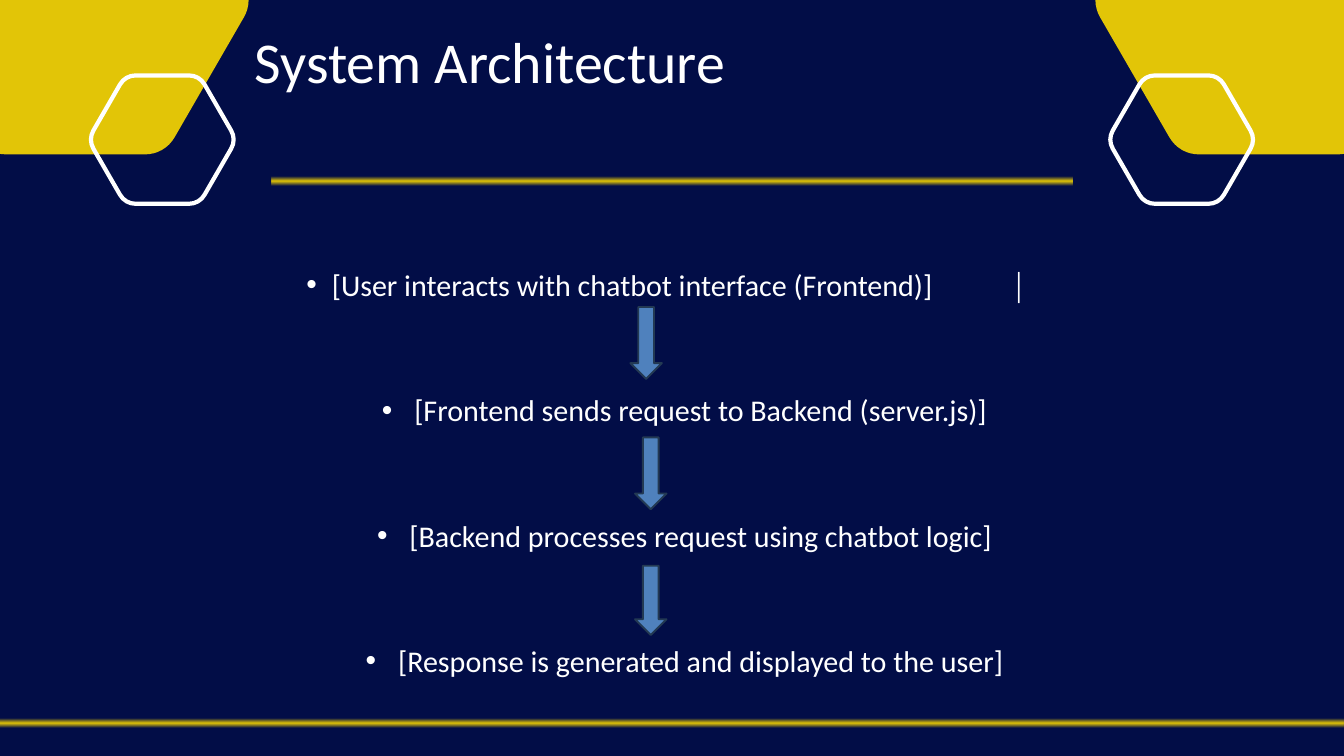
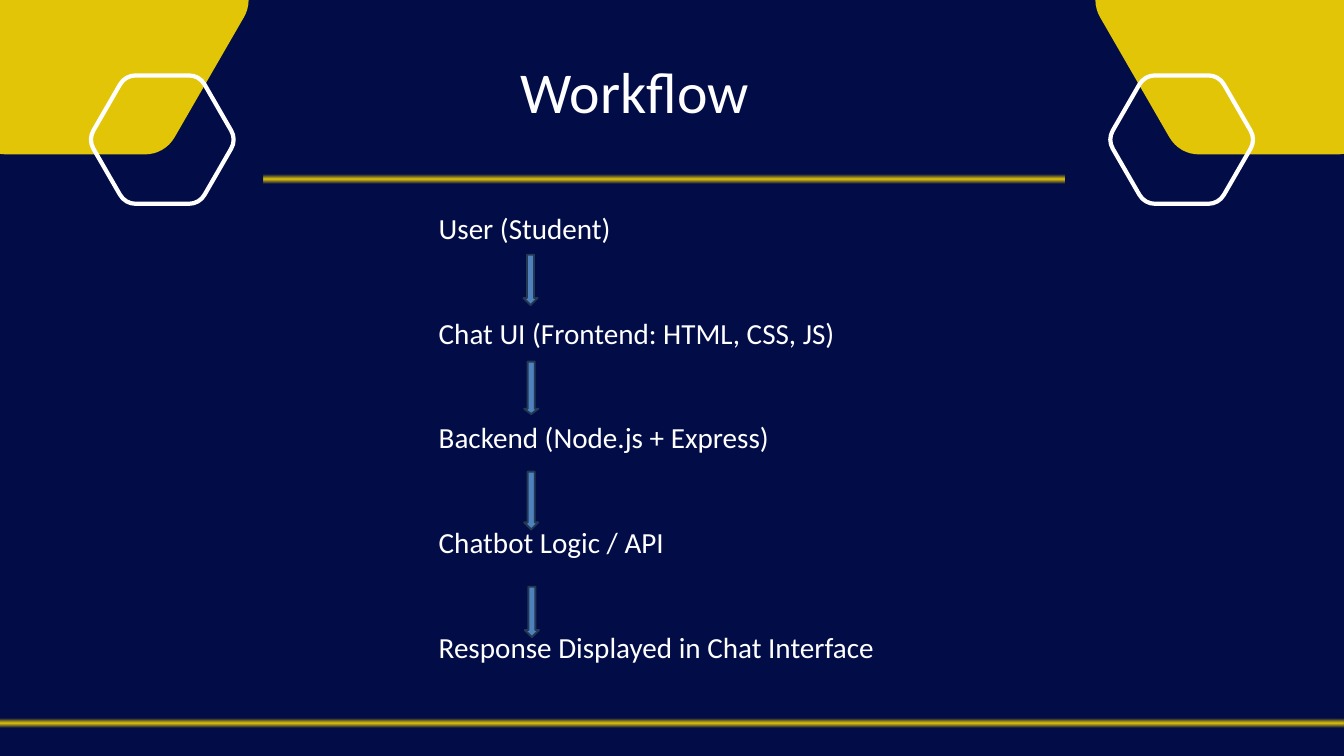
from math import cos, radians, sin

from lxml import etree
from pptx import Presentation
from pptx.dml.color import RGBColor
from pptx.enum import shapes, text
from pptx.oxml import parse_xml
from pptx.oxml.ns import nsdecls, qn
from pptx.util import Pt

NAVY = RGBColor(0x02, 0x0D, 0x47)
GOLD = RGBColor(0xE2, 0xC5, 0x07)
WHITE = RGBColor(0xFF, 0xFF, 0xFF)
ARROW_FILL = RGBColor(0x4F, 0x81, 0xBD)
ARROW_LINE = RGBColor(0x23, 0x39, 0x53)
FONT = "Calibri"
WIDTH, HEIGHT = 1440, 810

# Content; arrows are (left, top, height, head ratio)
ARCHITECTURE = {
    "title": "System Architecture", "title_at": (272.9, 27.4), "rule_at": (290.9, 194.4),
    "steps": ["[User interacts with chatbot interface (Frontend)]\t│",
              " [Frontend sends request to Backend (server.js)]",
              " [Backend processes request using chatbot logic]",
              " [Response is generated and displayed to the user]"],
    "steps_at": (80.6, 279), "steps_size": 32.2, "steps_height": 492.8,
    "arrow_width": 33.8,
    "arrows": [(675.4, 329, 77, 0.5), (680.4, 468.7, 77, 0.5), (680.4, 606.2, 74.2, 0.5)],
}
WORKFLOW = {
    "title": "Workflow", "title_at": (558, 60), "rule_at": (282.2, 191.4),
    "steps": [" User (Student)", " Chat UI (Frontend: HTML, CSS, JS)",
              " Backend (Node.js + Express)", " Chatbot Logic / API",
              " Response Displayed in Chat Interface"],
    "steps_at": (463, 225.5), "steps_size": 31.2, "steps_height": 530,
    "arrow_width": 15.1,
    "arrows": [(560.9, 272.9, 54, 0.5), (561.6, 387.4, 56.2, 0.37),
               (561.6, 505.4, 61.9, 0.5), (562.3, 628.6, 54, 0.5)],
}


def add_text(page, lines, left, top, width, height, size):
    box = page.shapes.add_textbox(Pt(left), Pt(top), Pt(width), Pt(height))
    frame = box.text_frame
    frame.word_wrap = True
    frame.margin_left = frame.margin_right = frame.margin_top = frame.margin_bottom = 0
    frame.text = "\n".join(lines)
    for para in frame.paragraphs:
        for span in para.runs:
            span.font.name, span.font.size = FONT, Pt(size)
            span.font.color.rgb = WHITE
    return frame.paragraphs


def add_outline(page, points):
    points = [(Pt(x), Pt(y)) for x, y in points]
    builder = page.shapes.build_freeform(*points[0])
    builder.add_line_segments(points[1:], close=True)
    outline = builder.convert_to_shape()
    outline.shadow.inherit = False
    return outline


def add_hexagon(page, center_x, center_y, radius, cut):
    """Hexagon whose corners are cut back and rounded by one curve each."""
    corners = [(center_x + radius * cos(radians(60 * k)),
                center_y + radius * sin(radians(60 * k))) for k in range(6)]
    points = []
    for k, corner in enumerate(corners):
        before, after = corners[k - 1], corners[(k + 1) % 6]
        for other, distance in ((before, cut), (before, cut * 0.37),
                                (after, cut * 0.37), (after, cut)):
            points.append([c + (o - c) * distance / radius for c, o in zip(corner, other)])
    hexagon = add_outline(page, points)
    # Each corner's three lines become the controls and end of a curve
    lines = list(hexagon.element.iter(qn("a:lnTo")))
    for first in range(0, 24, 4):
        curve = etree.Element(qn("a:cubicBezTo"))
        lines[first].addprevious(curve)
        for line in lines[first:first + 3]:
            curve.append(line[0])
            line.getparent().remove(line)
    return hexagon


def add_gold_rule(page, left, middle, width):
    right, top, bottom = left + width, middle - 4.7, middle + 4.7
    rule = add_outline(page, [(left, top), (right, top), (right, bottom), (left, bottom)])
    rule.line.fill.background()
    stops = "".join(f'<a:gs pos="{pos}"><a:srgbClr val="{GOLD}"><a:alpha val="{alpha}"/>'
                    "</a:srgbClr></a:gs>"
                    for pos, alpha in ((0, 0), (50000, 100000), (100000, 0)))
    gradient = parse_xml(f'<a:gradFill {nsdecls("a")}><a:gsLst>{stops}</a:gsLst>'
                         '<a:lin ang="5400000" scaled="0"/></a:gradFill>')
    rule.element.spPr.find(qn("a:custGeom")).addnext(gradient)


def add_arrow(page, left, top, width, height, head):
    arrow = page.shapes.add_shape(shapes.MSO_SHAPE.DOWN_ARROW, Pt(left), Pt(top),
                                  Pt(width), Pt(height))
    if head != 0.5:
        arrow.adjustments[1] = head
    arrow.shadow.inherit = False
    arrow.fill.solid()
    arrow.fill.fore_color.rgb = ARROW_FILL
    arrow.line.color.rgb = ARROW_LINE
    arrow.line.width = Pt(2)


def add_page(deck, content):
    """Draw one slide and return the paragraphs of its steps."""
    page = deck.slides.add_slide(deck.slide_layouts[6])
    page.background.fill.solid()
    page.background.fill.fore_color.rgb = NAVY
    add_text(page, [content["title"]], *content["title_at"], 894.2, 74.9, 61.9)
    steps = add_text(page, content["steps"], *content["steps_at"], 1278,
                     content["steps_height"], content["steps_size"])
    # Mirrored corner hexagons
    for center in (81, WIDTH - 81):
        solid = add_hexagon(page, center, 0, 191, 21.4)
        solid.fill.solid()
        solid.fill.fore_color.rgb = GOLD
        solid.line.fill.background()
    for center in (173.9, WIDTH - 173.9):
        outline = add_hexagon(page, center, 149.6, 79.4, 11.2)
        outline.fill.background()
        outline.line.color.rgb = WHITE
        outline.line.width = Pt(4.5)
    # Rules under the title and at the foot
    add_gold_rule(page, *content["rule_at"], 858.2)
    add_gold_rule(page, 0, 774.4, WIDTH)
    for left, top, height, head in content["arrows"]:
        add_arrow(page, left, top, content["arrow_width"], height, head)
    return steps


def add_bullet(para, margin):
    properties = para._p.get_or_add_pPr()
    properties.set("marL", str(Pt(margin)))
    properties.set("indent", str(-Pt(27.4)))
    etree.SubElement(properties, qn("a:buFont"), typeface="Arial")
    etree.SubElement(properties, qn("a:buChar"), char="•")
    return properties


def main():
    deck = Presentation()
    deck.slide_width, deck.slide_height = Pt(WIDTH), Pt(HEIGHT)

    # System architecture: bulleted steps, three lines apart
    for index, para in enumerate(add_page(deck, ARCHITECTURE)):
        para.line_spacing = Pt(44.8)
        para.space_before = Pt(89.6 if index else 0)
        para.alignment = text.PP_ALIGN.CENTER if index else text.PP_ALIGN.LEFT
        properties = add_bullet(para, 54.7 if index else 275)
        if not index:
            tabs = etree.SubElement(properties, qn("a:tabLst"))
            etree.SubElement(tabs, qn("a:tab"), pos=str(Pt(1079.6)), algn="l")

    # Workflow: plain steps, evenly spaced
    for para in add_page(deck, WORKFLOW)[1:]:
        para.space_before = Pt(74.7)

    deck.save("out.pptx")


if __name__ == "__main__":
    main()
